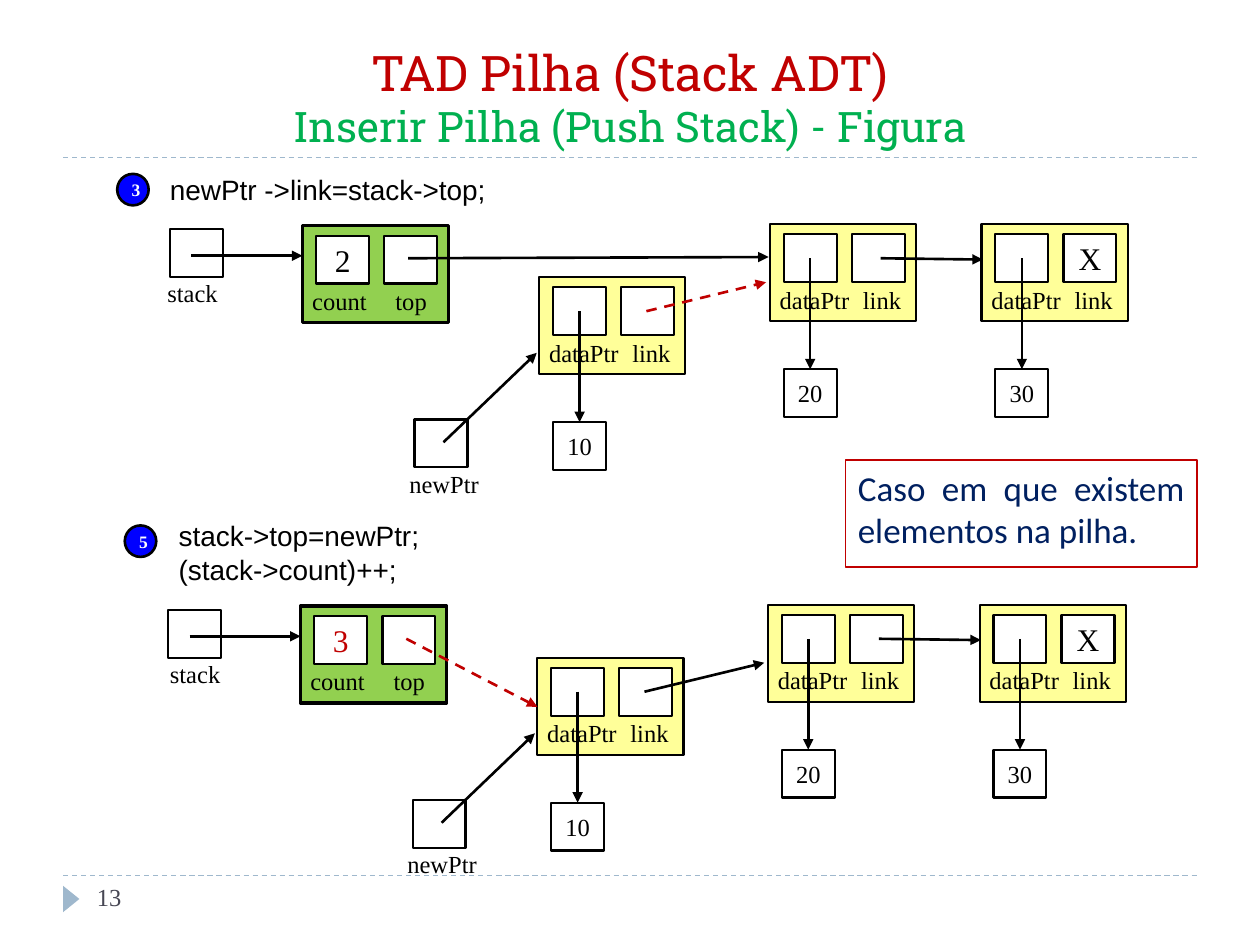
from lxml import etree
from pptx import Presentation
from pptx.dml.color import RGBColor
from pptx.enum.dml import MSO_LINE
from pptx.enum.shapes import MSO_CONNECTOR, MSO_SHAPE
from pptx.enum.text import MSO_ANCHOR, PP_ALIGN
from pptx.oxml.ns import qn
from pptx.util import Inches, Pt

RECT, OVAL = MSO_SHAPE.RECTANGLE, MSO_SHAPE.OVAL
TRIANGLE = MSO_SHAPE.ISOSCELES_TRIANGLE
STRAIGHT, DASH = MSO_CONNECTOR.STRAIGHT, MSO_LINE.DASH
TOP, MIDDLE, BOTTOM = MSO_ANCHOR.TOP, MSO_ANCHOR.MIDDLE, MSO_ANCHOR.BOTTOM
LEFT, CENTER, JUSTIFY = PP_ALIGN.LEFT, PP_ALIGN.CENTER, PP_ALIGN.JUSTIFY

WIDTH, HEIGHT = 10, 7.5
MARGIN = 0.05 * WIDTH
SERIF, SANS = "Times New Roman", "Arial"
BLACK, WHITE, RED = "000000", "FFFFFF", "C00000"
GREEN, YELLOW, BLUE, PALE_BLUE = "92D050", "FFFF99", "0000FF", "9FB8CD"
BLOCK_W, BLOCK_H = 1.16, 0.77
CELL_W, CELL_H = 0.42, 0.38
FIRST_CELL, CELL_PITCH, CELL_TOP = 0.11, 0.54, 0.08
LABEL_TOP, LABEL_H = 0.43, 0.34
VALUE_DROP = 1.15
STEP_SHIFT = (-0.015, 3.02)


def rgb(code):
    return RGBColor.from_string(code)


def write(shape, text, size, font=SERIF, color=BLACK, align=LEFT,
          anchor=TOP, bold=False):
    frame = shape.text_frame
    frame.text = text
    frame.vertical_anchor = anchor
    for paragraph in frame.paragraphs:
        paragraph.alignment = align
        for run in paragraph.runs:
            run.font.size = Pt(size)
            run.font.name = font
            run.font.bold = bold
            run.font.color.rgb = rgb(color)


def add_text(slide, x, y, w, h, text, size, wrap=False, **style):
    box = slide.shapes.add_textbox(Inches(x), Inches(y), Inches(w), Inches(h))
    write(box, text, size, **style)
    box.text_frame.word_wrap = wrap
    return box


def add_outlined(slide, kind, x, y, w, h, fill=WHITE, line=BLACK, weight=1.25):
    shape = slide.shapes.add_shape(kind, Inches(x), Inches(y),
                                   Inches(w), Inches(h))
    shape.shadow.inherit = False
    if fill:
        shape.fill.solid()
        shape.fill.fore_color.rgb = rgb(fill)
    else:
        shape.fill.background()
    if line:
        shape.line.color.rgb = rgb(line)
        shape.line.width = Pt(weight)
    else:
        shape.line.fill.background()
    return shape


def add_cell(slide, x, y, text="", size=14, color=BLACK):
    cell = add_outlined(slide, RECT, x, y, CELL_W, CELL_H)
    if text:
        write(cell, text, size, color=color, align=CENTER, anchor=MIDDLE)
    return cell


def add_line(slide, start, end, color=BLACK, weight=1.5, dashed=False):
    line = slide.shapes.add_connector(
        STRAIGHT, *(Inches(value) for value in (*start, *end)))
    line.line.color.rgb = rgb(color)
    line.line.width = Pt(weight)
    if dashed:
        line.line.dash_style = DASH
    etree.SubElement(line._element.spPr, qn("a:effectLst"))
    return line


def add_arrow(slide, start, end, new=False):
    """Pointer arrow; the link set in this step is dashed red."""
    arrow = add_line(slide, start, end, RED if new else BLACK, dashed=new)
    etree.SubElement(arrow.line._get_or_add_ln(), qn("a:tailEnd"),
                     type="triangle")
    return arrow


def add_block(slide, x, y, fields, fill, weight=1.25):
    """Record with two cells; fields are (label, label width, content, colour)."""
    add_outlined(slide, RECT, x, y, BLOCK_W, BLOCK_H, fill, weight=weight)
    label_offsets = (-0.02, 0.64)
    for column, (label, width, content, color) in enumerate(fields):
        add_cell(slide, x + FIRST_CELL + column * CELL_PITCH, y + CELL_TOP,
                 content, 18, color)
        add_text(slide, x + label_offsets[column], y + LABEL_TOP,
                 width, LABEL_H, label, 14)


def add_node(slide, x, y, value, link=""):
    """List node with its data box below."""
    add_block(slide, x, y, [("dataPtr", 0.76, "", BLACK),
                            ("link", 0.51, link, BLACK)], YELLOW)
    data_x = x + FIRST_CELL
    data_box = add_cell(slide, data_x, y + VALUE_DROP, value)
    center = data_x + CELL_W / 2
    arrow = add_arrow(slide, (center, y + 0.27), (center, y + VALUE_DROP))
    arrow.end_connect(data_box, 0)


def add_variable(slide, x, y, name, label_x, label_width):
    add_cell(slide, x, y)
    add_text(slide, label_x, y + 0.34, label_width, LABEL_H, name, 14)


def add_diagram(slide, shift, count, count_color, stack_label_x, top_arrow,
                linking):
    """Stack and nodes; top_arrow is where top points, from its own cell."""
    dx, dy = shift

    def at(x, y):
        return x + dx, y + dy

    add_variable(slide, *at(1.35, 1.82), "stack", stack_label_x, 0.61)
    add_block(slide, *at(2.4, 1.79), [("count", 0.64, count, count_color),
                                      ("top", 0.45, "", BLACK)], GREEN, 2)
    add_variable(slide, *at(3.29, 3.33), "newPtr", 3.15 + dx, 0.76)
    for x, y, value, link in ((4.28, 2.2, "10", ""), (6.11, 1.78, "20", ""),
                              (7.79, 1.78, "30", "X")):
        add_node(slide, *at(x, y), value, link)

    add_arrow(slide, at(1.52, 2.03), at(2.4, 2.03))
    add_arrow(slide, at(3.52, 3.51), at(4.26, 2.8))
    add_arrow(slide, at(6.99, 2.05), at(7.8, 2.06))
    add_arrow(slide, at(3.24, 2.05), at(*top_arrow), new=not linking)
    add_arrow(slide, at(5.13, 2.47), at(6.08, 2.24), new=linking)


def add_step(slide, number, badge, code_at, code_size, code):
    add_text(slide, *code_at, *code_size, code, 16, font=SANS)
    disc = add_outlined(slide, OVAL, *badge, 0.25, 0.25, BLUE, weight=1.5)
    write(disc, number, 10, color=WHITE, align=CENTER, anchor=MIDDLE, bold=True)


def add_frame(slide):
    """Rules, title and page number."""
    for y in (6.95, 1.25):
        add_line(slide, (MARGIN, y), (WIDTH - MARGIN, y), PALE_BLUE, 0.75, True)
    marker = add_outlined(slide, TRIANGLE, 0.46, 7.07, 0.21, 0.13,
                          PALE_BLUE, None)
    marker.rotation = 90
    title = add_text(
        slide, MARGIN, 0.25, WIDTH - 2 * MARGIN, 1,
        "TAD Pilha (Stack ADT)\vInserir Pilha (Push Stack) - Figura", 28,
        wrap=True, font="Roboto Slab", color=RED, align=CENTER, anchor=BOTTOM)
    subtitle = title.text_frame.paragraphs[0].runs[1].font
    subtitle.size = Pt(24)
    subtitle.color.rgb = rgb("00B050")
    add_text(slide, 0.67, 6.95, 2.17, 0.4, "13", 14, wrap=True, color="464653")


def main():
    deck = Presentation()
    deck.slide_width, deck.slide_height = Inches(WIDTH), Inches(HEIGHT)
    slide = deck.slides.add_slide(deck.slide_layouts[6])
    add_frame(slide)

    add_step(slide, "3", (0.93, 1.38), (1.25, 1.32), (2.74, 0.37),
             "newPtr ->link=stack->top;")
    add_diagram(slide, (0, 0), "2", BLACK, 1.23, (6.1, 2.04), linking=True)

    add_step(slide, "5", (0.99, 4.17), (1.32, 4.07), (2.14, 0.64),
             "stack->top=newPtr;\n(stack->count)++;")
    add_diagram(slide, STEP_SHIFT, "3", RED, 1.25, (4.28, 2.59), linking=False)

    remark = add_outlined(slide, RECT, 6.71, 3.65, 2.79, 0.85, None, RED, 0.75)
    write(remark, "Caso em que existem elementos na pilha.", 20,
          font="Calibri", color="002060", align=JUSTIFY)
    deck.save("out.pptx")


if __name__ == "__main__":
    main()
